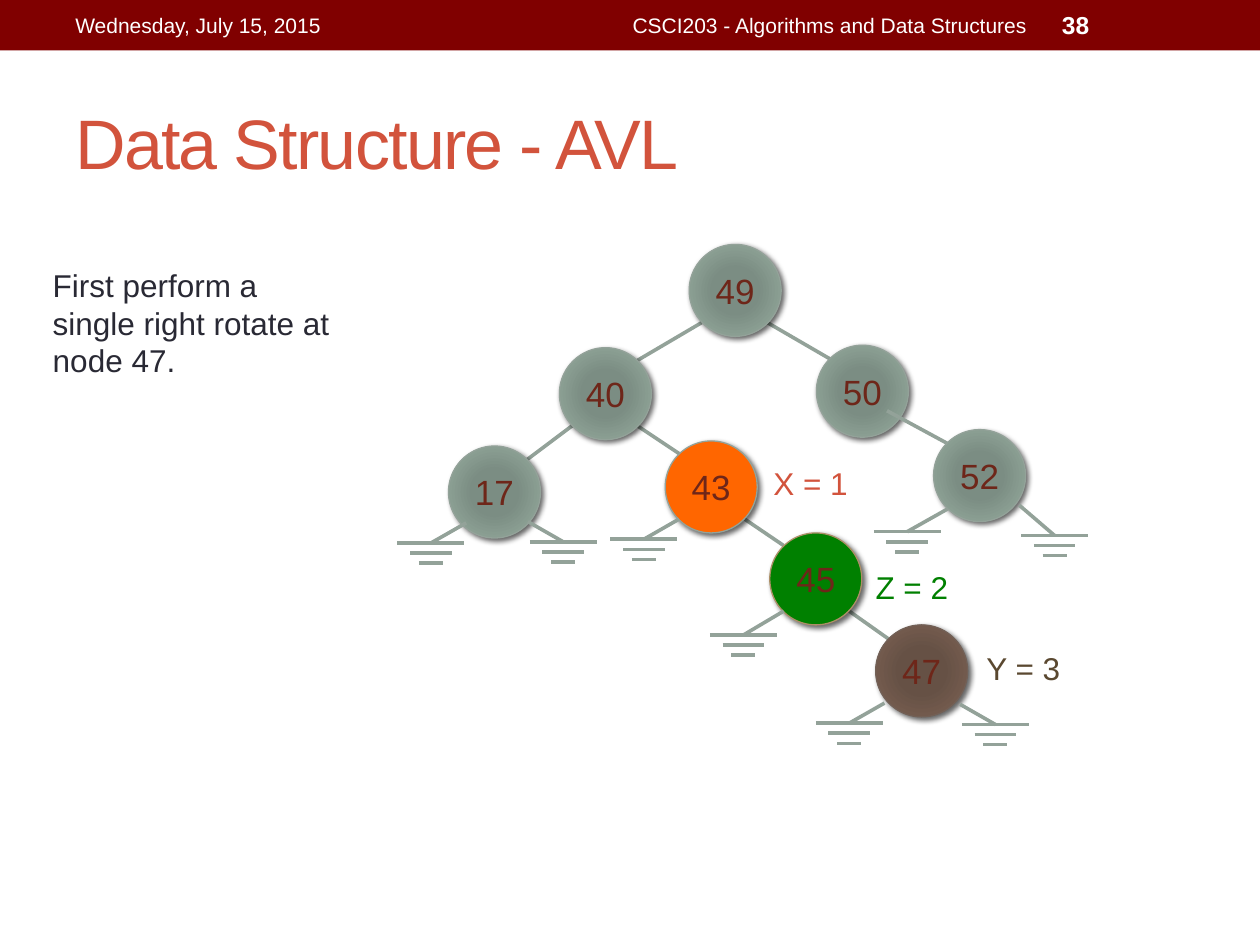
from pptx import Presentation
from pptx.dml.color import RGBColor
from pptx.enum.shapes import MSO_CONNECTOR, MSO_SHAPE
from pptx.enum.text import MSO_ANCHOR, PP_ALIGN
from pptx.oxml import parse_xml
from pptx.oxml.ns import nsdecls, qn
from pptx.util import Inches, Pt

RECT, OVAL = MSO_SHAPE.RECTANGLE, MSO_SHAPE.OVAL
STRAIGHT = MSO_CONNECTOR.STRAIGHT
TOP, MIDDLE = MSO_ANCHOR.TOP, MSO_ANCHOR.MIDDLE
LEFT, CENTER, RIGHT = PP_ALIGN.LEFT, PP_ALIGN.CENTER, PP_ALIGN.RIGHT

COLORS = {
    "band": "800000", "white": "FFFFFF", "title": "D2533C", "body": "292934",
    "sage": "93A299", "value": "6E2619", "orange": "FF6600", "green": "008000",
    "tan": "AD8F67", "brown": "726056", "umber": "5A4830",
}
GRADIENTS = {
    "sage": ((0, "7B8E82"), (34, "7B8D83"), (70, "8A9E92"), (100, "93A299")),
    "brown": ((0, "685044"), (34, "665145"), (70, "725A4D"), (100, "726056")),
}
NODE_SIZE = 0.73
GROUND_WIDTHS = (0.53, 0.33, 0.19)
GROUND_GAP = 0.08

HEADER = [
    ("Wednesday, July 15, 2015", (0.5, 0.02, 3.17, 0.36), LEFT, {"size": Pt(12)}),
    ("CSCI203 - Algorithms and Data Structures", (3.75, 0.02, 4.5, 0.36), RIGHT,
     {"size": Pt(12)}),
    ("38", (8.33, 0.02, 1.17, 0.36), LEFT, {"size": Pt(14), "bold": True}),
]
EDGES = [
    (5.57, 2.56, 5.06, 2.86), (6.09, 2.56, 6.59, 2.85),
    (4.54, 3.38, 4.18, 3.65), (5.06, 3.38, 5.39, 3.6),
    (5.91, 4.12, 6.22, 4.33), (6.74, 4.85, 7.05, 5.07),
]
EDGE_50_52 = (7.04, 3.26, 7.52, 3.52)
NODES = [
    ("49", 5.47, 1.94, "sage", "sage"), ("40", 4.44, 2.76, "sage", "sage"),
    ("50", 6.48, 2.74, "sage", "sage"), ("17", 3.56, 3.54, "sage", "sage"),
    ("43", 5.28, 3.5, "orange", "sage"), ("52", 7.41, 3.41, "sage", "sage"),
    ("45", 6.11, 4.23, "green", "tan"), ("47", 6.95, 4.96, "brown", "brown"),
]
STEMS = [
    (3.7, 4.15, 3.42, 4.31), (4.19, 4.14, 4.47, 4.3),
    (5.39, 4.12, 5.11, 4.28), (6.22, 4.85, 5.9, 5.04),
    (7.02, 5.58, 6.74, 5.74), (7.62, 5.59, 7.9, 5.75),
    (7.52, 4.04, 7.2, 4.22), (8.09, 4.01, 8.37, 4.25),
]
LABELS = [
    ("X = 1", (6.04, 3.63, 0.8, 0.4), "title"),
    ("Z = 2", (6.85, 4.46, 0.78, 0.4), "green"),
    ("Y = 3", (7.73, 5.1, 0.79, 0.4), "umber"),
]


def rgb(name):
    return RGBColor.from_string(COLORS[name])


class Canvas:
    font = {"name": "Arial", "size": Pt(18)}

    def __init__(self, slide):
        self.shapes = slide.shapes

    def put_text(self, sp, text, color, font=None, align=LEFT, **frame):
        tf = sp.text_frame
        for key, value in frame.items():
            setattr(tf, key, value)
        p = tf.paragraphs[0]
        p.alignment = align
        r = p.add_run()
        r.text = text
        for key, value in {**self.font, **(font or {})}.items():
            setattr(r.font, key, value)
        r.font.color.rgb = rgb(color)
        return r

    def text(self, text, box, color, font=None, align=LEFT, anchor=TOP, wrap=True):
        sp = self.shapes.add_textbox(*map(Inches, box))
        return self.put_text(sp, text, color, font, align,
                             vertical_anchor=anchor, word_wrap=wrap)

    def band(self, box, color):
        sp = self.shapes.add_shape(RECT, *map(Inches, box))
        sp.shadow.inherit = False
        sp.fill.solid()
        sp.fill.fore_color.rgb = rgb(color)
        sp.line.fill.background()

    def line(self, x1, y1, x2, y2):
        sp = self.shapes.add_connector(STRAIGHT, *map(Inches, (x1, y1, x2, y2)))
        sp.line.color.rgb = rgb("sage")
        sp.line.width = Pt(2.08)
        sp._element.spPr.append(parse_xml(f"<a:effectLst {nsdecls('a')}/>"))

    def node(self, value, x, y, fill, outline):
        sp = self.shapes.add_shape(OVAL, *map(Inches, (x, y, NODE_SIZE, NODE_SIZE)))
        sp.shadow.inherit = False
        sp.fill.solid()
        sp.line.color.rgb = rgb(outline)
        sp.line.width = Pt(0.75)
        if fill in GRADIENTS:
            self.radial(sp, GRADIENTS[fill])
        else:
            sp.fill.fore_color.rgb = rgb(fill)
        self.drop_shadow(sp)
        self.put_text(sp, value, "value", {"size": Pt(20)}, CENTER,
                      vertical_anchor=MIDDLE, word_wrap=False)

    def radial(self, sp, stops):
        gs = "".join(f'<a:gs pos="{pos * 1000}"><a:srgbClr val="{color}"/></a:gs>'
                     for pos, color in stops)
        spPr = sp._element.spPr
        spPr.replace(spPr.find(qn("a:solidFill")), parse_xml(
            f'<a:gradFill {nsdecls("a")} rotWithShape="1"><a:gsLst>{gs}</a:gsLst>'
            '<a:path path="circle"><a:fillToRect l="100000" t="100000" '
            'r="100000" b="100000"/></a:path></a:gradFill>'))

    def drop_shadow(self, sp):
        sp._element.spPr.find(qn("a:effectLst")).append(parse_xml(
            f'<a:outerShdw {nsdecls("a")} blurRad="{Pt(3)}" dist="{Pt(2)}" '
            'dir="2700000" algn="ctr" rotWithShape="0"><a:srgbClr val="000000">'
            '<a:alpha val="60000"/></a:srgbClr></a:outerShdw>'))

    def ground(self, x1, y1, x2, y2):
        self.line(x1, y1, x2, y2)
        for i, width in enumerate(GROUND_WIDTHS):
            y = y2 + i * GROUND_GAP
            self.line(x2 - width / 2, y, x2 + width / 2, y)


def main():
    prs = Presentation()
    prs.slide_width, prs.slide_height = Inches(10), Inches(7.5)
    s = Canvas(prs.slides.add_slide(prs.slide_layouts[6]))

    s.band((0, 0, 10, 0.4), "band")
    for text, box, align, font in HEADER:
        s.text(text, box, "white", font, align, MIDDLE)
    r = s.text("Data Structure - AVL", (0.5, 0.58, 9, 1.08), "title",
               {"size": Pt(40)}, anchor=MIDDLE)
    r.font._element.set("spc", "-100")
    s.text("First perform a single right rotate at node 47.",
           (0.32, 2.06, 2.49, 1.01), "body")

    for edge in EDGES:
        s.line(*edge)
    for node in NODES:
        s.node(*node)
    s.line(*EDGE_50_52)
    for stem in STEMS:
        s.ground(*stem)
    for text, box, color in LABELS:
        s.text(text, box, color, wrap=False)

    prs.save("out.pptx")


if __name__ == "__main__":
    main()
